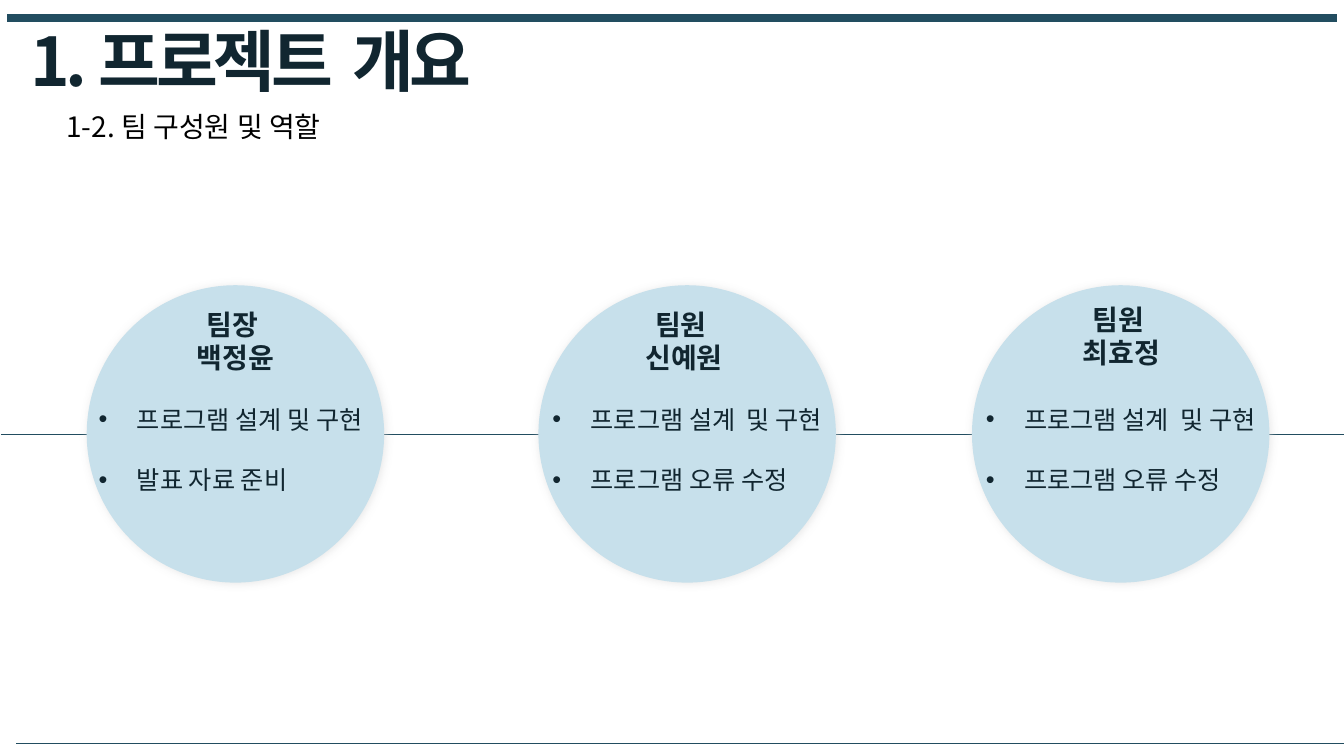
"""Build the team members and roles slide."""
from lxml.etree import SubElement
from pptx import Presentation
from pptx.dml.color import RGBColor
from pptx.enum.shapes import MSO_CONNECTOR as CONN, MSO_SHAPE as SHAPE
from pptx.enum.text import MSO_AUTO_SIZE as AUTO, PP_ALIGN as ALIGN
from pptx.oxml.ns import qn
from pptx.util import Inches, Pt

W, H = 13.33, 7.5
FONT = "Noto Sans CJK KR"
NAVY, TEAL, SKY, BLACK, GREY = "112630", "224D60", "C7E0EB", "000000", "D9D9D9"
DIAMETER, CIRCLE_TOP = 2.95, 2.83
NAME_W, NAME_H = 1.73, 0.77
ROLE_TOP, ROLE_H, INDENT = 3.96, 0.93, 0.38

TITLE = [("1. 프로젝트", 48), (" ", 60), ("개요", 48)]
SUBTITLE = [("1-2. 팀 구성원 및 역할", 20)]
RULES = [(0.01, CIRCLE_TOP + DIAMETER / 2, 0.5), (0.07, 0.18, 6), (0.16, 7.37, 0.25)]
MEMBERS = [
    dict(left=0.86, name=["팀장 ", "백정윤"], name_at=(0.61, 3.0), role_at=(0.02, 2.94),
         roles=["프로그램 설계 및 구현", "발표 자료 준비"]),
    dict(left=5.34, name=["팀원 ", "신예원"], name_at=(0.58, 3.0), role_at=(0.04, 2.89),
         roles=["프로그램 설계  및 구현", "프로그램 오류 수정"]),
    dict(left=9.64, name=["팀원 ", "최효정"], name_at=(0.62, 2.95), role_at=(0.04, 2.89),
         roles=["프로그램 설계  및 구현", "프로그램 오류 수정"]),
]


def rgb(color):
    return RGBColor.from_string(color)


def add_rule(s, left, y, width):
    right = W + 0.02 if width < 6 else W - left
    line = s.shapes.add_connector(
        CONN.STRAIGHT, Inches(left), Inches(y), Inches(right), Inches(y))
    line.line.color.rgb = rgb(TEAL)
    line.line.width = Pt(width)
    SubElement(line._element.spPr, qn("a:effectLst"))


def add_circle(s, left):
    sp = s.shapes.add_shape(
        SHAPE.OVAL, Inches(left), Inches(CIRCLE_TOP), Inches(DIAMETER), Inches(DIAMETER))
    sp.fill.solid()
    sp.fill.fore_color.rgb = rgb(SKY)
    sp.line.fill.background()
    sp.shadow.inherit = False
    effects = sp._element.spPr.find(qn("a:effectLst"))
    shadow = SubElement(effects, qn("a:outerShdw"), blurRad=str(Pt(6)),
                        dist=str(Pt(1)), dir=str(45 * 60000), algn="tl", rotWithShape="0")
    color = SubElement(shadow, qn("a:srgbClr"), val=GREY)
    SubElement(color, qn("a:alpha"), val="60000")


def add_text(s, box, paragraphs, color=NAVY, bold=False, align=None, spacing=None, bullets=False):
    sp = s.shapes.add_textbox(*(Inches(v) for v in box))
    tf = sp.text_frame
    tf.word_wrap = True
    tf.auto_size = AUTO.SHAPE_TO_FIT_TEXT
    for i, runs in enumerate(paragraphs):
        p = tf.add_paragraph() if i else tf.paragraphs[0]
        p.alignment = align
        if bullets:
            add_bullet(p)
            p.line_spacing = 2.0 if i else None
        for text, size in runs:
            r = p.add_run()
            r.text = text
            for key, value in dict(name=FONT, size=Pt(size), bold=bold).items():
                setattr(r.font, key, value)
            r.font.color.rgb = rgb(color)
            rPr = r._r.get_or_add_rPr()
            SubElement(rPr, qn("a:ea"), typeface=FONT)
            if spacing:
                rPr.set("spc", str(spacing * 100))


def add_bullet(p):
    pPr = p._p.get_or_add_pPr()
    pPr.set("marL", str(Inches(INDENT)))
    pPr.set("indent", str(-Inches(INDENT)))
    SubElement(pPr, qn("a:buFont"), typeface="Arial")
    SubElement(pPr, qn("a:buChar"), char="•")


def main():
    prs = Presentation()
    prs.slide_width, prs.slide_height = Inches(W), Inches(H)
    s = prs.slides.add_slide(prs.slide_layouts[6])
    for rule in RULES:
        add_rule(s, *rule)
    add_text(s, (0.2, -0.02, 5.35, 1.11), [TITLE], bold=True, spacing=-3)
    add_text(s, (0.56, 1.04, 3.13, 0.44), [SUBTITLE], color=BLACK)
    for m in MEMBERS:
        left = m["left"]
        add_circle(s, left)
        name_dx, name_top = m["name_at"]
        add_text(s, (left + name_dx, name_top, NAME_W, NAME_H),
                 [[(t, 20)] for t in m["name"]], bold=True, align=ALIGN.CENTER)
        role_dx, role_w = m["role_at"]
        add_text(s, (left + role_dx, ROLE_TOP, role_w, ROLE_H),
                 [[(t, 18)] for t in m["roles"]], bullets=True)
    prs.save("out.pptx")


if __name__ == "__main__":
    main()
